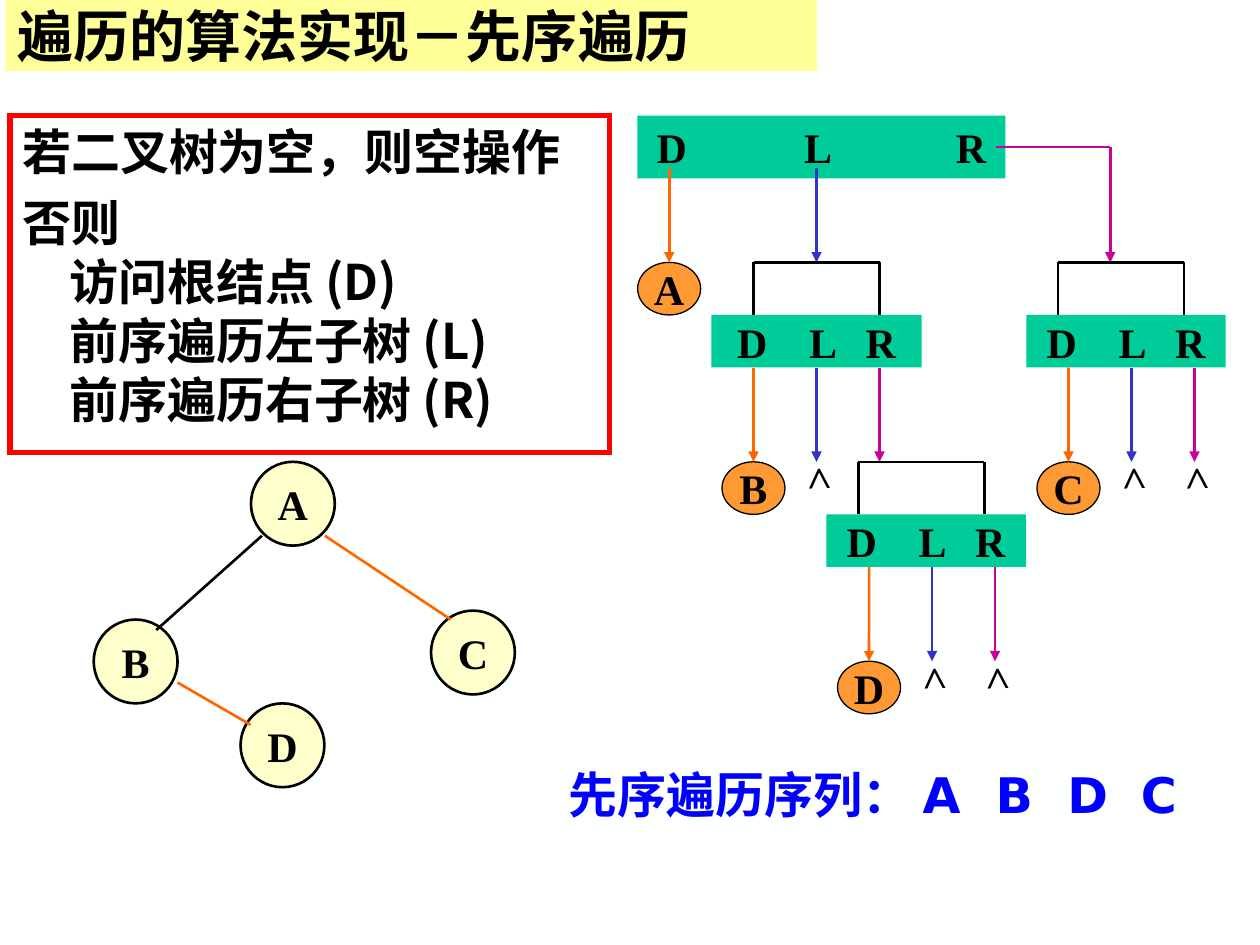
from lxml import etree
from pptx import Presentation
from pptx import util as u
from pptx.dml.color import RGBColor
from pptx.enum import shapes, text
from pptx.oxml.ns import qn

Cm, Pt = u.Cm, u.Pt
BACKGROUND = RGBColor(0xFE, 0xFF, 0xFF)
BLACK = RGBColor(0, 0, 0)
RED = RGBColor(0xFF, 0, 0)
SEQUENCE_BLUE = RGBColor(0, 0, 0xFF)
TITLE_YELLOW = RGBColor(0xFF, 0xFF, 0x99)
NODE_CREAM = RGBColor(0xFF, 0xFF, 0xCC)
BAR_GREEN = RGBColor(0, 0xCC, 0x99)
VISIT_ORANGE = RGBColor(0xFF, 0x99, 0x33)
ROOT_ORANGE = RGBColor(0xFF, 0x66, 0)
LEFT_BLUE = RGBColor(0x33, 0x33, 0xCC)
RIGHT_MAGENTA = RGBColor(0xCC, 0, 0x99)

SERIF, CJK, SANS = "Times New Roman", "Noto Sans CJK SC", "DejaVu Sans"
RECT, OVAL = shapes.MSO_SHAPE.RECTANGLE, shapes.MSO_SHAPE.OVAL
CENTER, LEFT = text.PP_ALIGN.CENTER, text.PP_ALIGN.LEFT
TOP, MIDDLE = text.MSO_ANCHOR.TOP, text.MSO_ANCHOR.MIDDLE
STEP = 1.27
LEVEL = 1.06
DROP = 1.9
LETTER = 0.61


def write(holder, *lines, font=SERIF, size=24, color=BLACK, align=LEFT,
          anchor=MIDDLE, before=0, hanging=0, tabs=(), inset=(0.25, 0.25)):
    frame = holder.text_frame
    frame.word_wrap = True
    frame.vertical_anchor = anchor
    frame.margin_left, frame.margin_right = (Cm(side) for side in inset)
    for index, line in enumerate(lines):
        paragraph = frame.add_paragraph() if index else frame.paragraphs[0]
        paragraph.text = line
        paragraph.alignment = align
        if index:
            paragraph.space_before = Pt(before)
        properties = paragraph._p.get_or_add_pPr()
        if hanging:
            properties.set("marL", str(Cm(hanging)))
            properties.set("indent", str(-Cm(hanging)))
        if tabs:
            stops = etree.SubElement(properties, qn("a:tabLst"))
            for stop in tabs:
                etree.SubElement(stops, qn("a:tab"), pos=str(Cm(stop)), algn="l")
        for run in paragraph.runs:
            run.font.name, run.font.size, run.font.bold = font, Pt(size), True
            run.font.color.rgb = color
            etree.SubElement(run._r.get_or_add_rPr(), qn("a:ea"), typeface=CJK)


def add_block(slide, preset, left, top, width, height, fill=None, border=None, weight=0.75):
    block = slide.shapes.add_shape(preset, Cm(left), Cm(top), Cm(width), Cm(height))
    block.shadow.inherit = False
    if fill is None:
        block.fill.background()
    else:
        block.fill.solid()
        block.fill.fore_color.rgb = fill
    if border is None:
        block.line.fill.background()
    else:
        block.line.color.rgb = border
        block.line.width = Pt(weight)
        etree.SubElement(block.line._get_or_add_ln(), qn("a:miter"), lim="800000")
    return block


def add_line(slide, start, end, color=BLACK, arrow=False, source=None, target=None):
    line = slide.shapes.add_connector(
        shapes.MSO_CONNECTOR.STRAIGHT, *(Cm(value) for value in start + end))
    line.line.color.rgb = color
    line.line.width = Pt(1.5)
    if arrow:
        etree.SubElement(line.line._get_or_add_ln(), qn("a:tailEnd"), type="triangle")
    etree.SubElement(line._element.spPr, qn("a:effectLst"))
    if source is not None:
        line.begin_connect(source, 2)
    if target is not None:
        line.end_connect(target, 0)


def add_order_bar(slide, left, top, width, height, tabs):
    bar = add_block(slide, RECT, left, top, width, height, BAR_GREEN)
    write(bar, "D\tL\tR", tabs=tabs, inset=((width - tabs[-1] - LETTER) / 2, 0))
    return bar


def add_visit(slide, letter, x, top):
    visit = add_block(slide, OVAL, x - STEP / 2, top + DROP, STEP, LEVEL, VISIT_ORANGE, BLACK)
    write(visit, letter, align=CENTER, inset=(0, 0))
    add_line(slide, (x, top), (x, top + DROP), ROOT_ORANGE, True, target=visit)


def add_empty(slide, x, top):
    mark = slide.shapes.add_textbox(Cm(x - 0.53), Cm(top + 1.58), Cm(1.06), Cm(1.27))
    mark.rotation = 268.3
    write(mark, ">", anchor=TOP)


def add_call(slide, letter, top, bracket, bar_left, bar_width, first, right_empty=True):
    bar_top = top + LEVEL
    bracket_end = bracket + 2 * STEP
    add_line(slide, (bracket, top), (bracket_end, top))
    for x in (bracket, bracket_end):
        add_line(slide, (x, top), (x, bar_top))
    bar = add_order_bar(slide, bar_left, bar_top, bar_width, LEVEL, (1.45, 2.59))
    bottom = bar_top + LEVEL
    add_visit(slide, letter, first, bottom)
    centred = abs(bar_left + bar_width / 2 - first - STEP) < 0.05
    branches = ((1, LEFT_BLUE, True), (2, RIGHT_MAGENTA, right_empty))
    for place, color, empty in branches:
        x = first + place * STEP
        source = bar if place == 1 and centred else None
        add_line(slide, (x, bottom), (x, bottom + DROP), color, True, source=source)
        if empty:
            add_empty(slide, x, bottom)


def add_calls(slide):
    add_order_bar(slide, 12.85, 2.33, 7.42, 1.27, (2.97, 6.03))
    add_visit(slide, "A", 13.49, 3.39)
    add_line(slide, (16.46, 3.39), (16.46, 5.29), LEFT_BLUE, True)
    add_line(slide, (20.07, 2.96), (22.38, 2.96), RIGHT_MAGENTA)
    add_line(slide, (22.38, 2.96), (22.38, 5.29), RIGHT_MAGENTA, True)
    add_call(slide, "B", 5.29, 15.19, 14.34, 4.24, 15.19, right_empty=False)
    add_call(slide, "D", 9.31, 17.3, 16.66, 4.02, 17.52)
    add_call(slide, "C", 5.29, 21.33, 20.69, 4.02, 21.54)


def add_tree(slide):
    nodes = (("A", 5.06, 9.31), ("D", 4.85, 14.18), ("B", 1.89, 12.49), ("C", 8.69, 12.31))
    for letter, left, top in nodes:
        node = add_block(slide, OVAL, left, top, 1.69, 1.69, NODE_CREAM, BLACK, 1.5)
        write(node, letter, align=CENTER, inset=(0, 0))
    add_line(slide, (5.28, 10.8), (3.15, 12.7))
    add_line(slide, (6.55, 10.8), (9.09, 12.49), ROOT_ORANGE)
    add_line(slide, (3.58, 13.76), (5.05, 14.61), ROOT_ORANGE)


def main():
    deck = Presentation()
    deck.slide_width, deck.slide_height = Cm(25.4), Cm(19.05)
    slide = deck.slides.add_slide(deck.slide_layouts[6])
    slide.background.fill.solid()
    slide.background.fill.fore_color.rgb = BACKGROUND

    add_calls(slide)
    add_tree(slide)

    sequence = slide.shapes.add_textbox(Cm(11.22), Cm(15.29), Cm(13.18), Cm(1.45))
    write(sequence, "先序遍历序列：\tA\tB\tD\tC", font=SANS, size=28, color=SEQUENCE_BLUE,
          anchor=TOP, tabs=(7.13, 8.6, 10.05, 11.53))

    algorithm = add_block(slide, RECT, 0.2, 2.33, 12.09, 6.79, border=RED, weight=3)
    write(algorithm, "若二叉树为空，则空操作",
          "否则\v访问根结点 (D)\v前序遍历左子树 (L)\v前序遍历右子树 (R)",
          font=CJK, size=28, anchor=TOP, before=7, hanging=0.95)

    title = add_block(slide, RECT, 0.11, 0, 16.36, 1.43, TITLE_YELLOW)
    write(title, "遍历的算法实现－先序遍历", font=CJK, size=32)
    deck.save("out.pptx")


if __name__ == "__main__":
    main()
